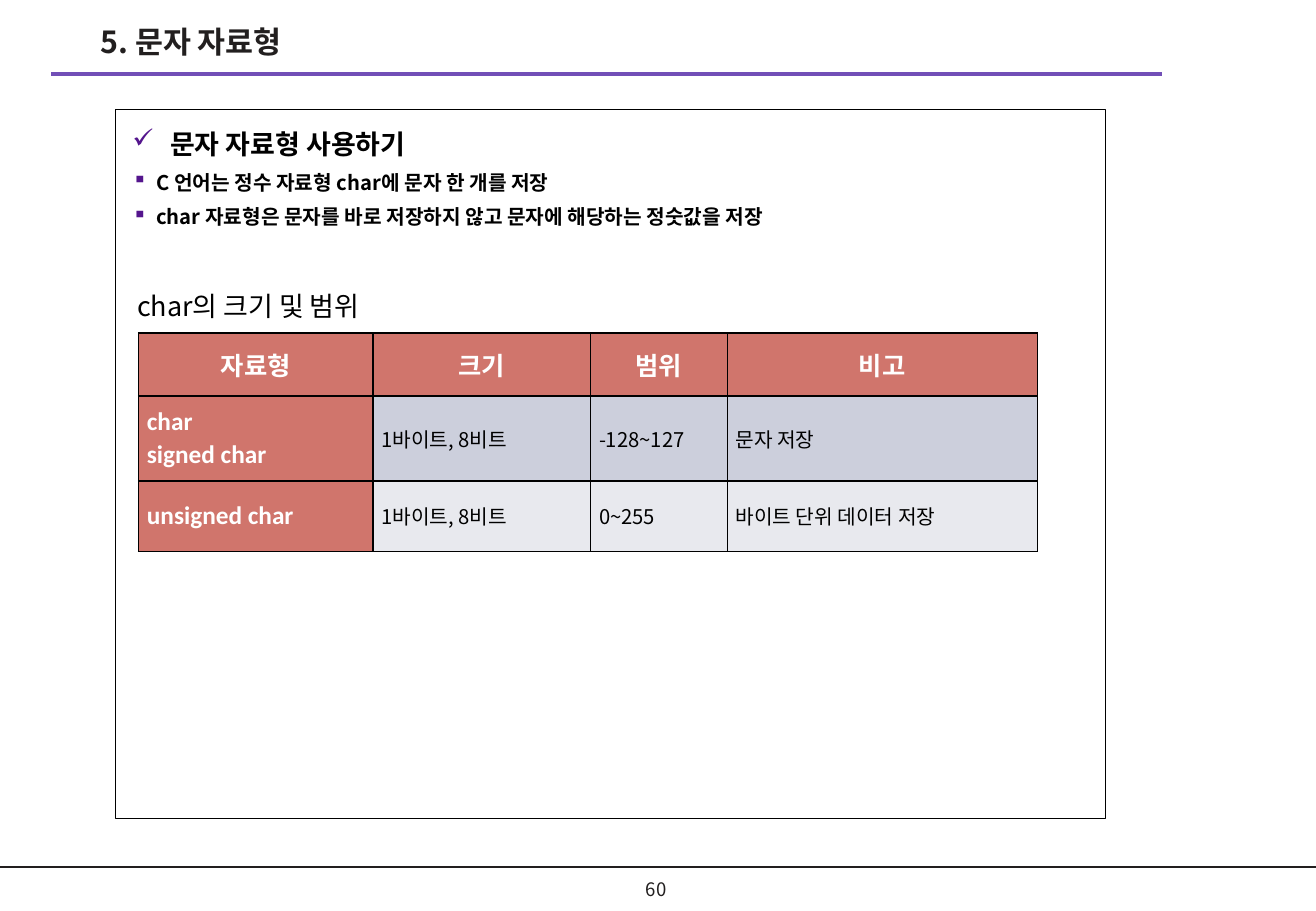
from dataclasses import dataclass

from pptx import Presentation
from pptx.dml.color import RGBColor
from pptx.enum.shapes import MSO_CONNECTOR, MSO_SHAPE
from pptx.enum.text import MSO_ANCHOR as Anchor, PP_ALIGN as Align
from pptx.oxml import parse_xml
from pptx.oxml.ns import nsdecls
from pptx.util import Pt


@dataclass(frozen=True)
class Theme:
    korean: str = "Noto Sans CJK KR"
    latin: str = "Calibri"
    ink: str = "221F1F"
    black: str = "000000"
    white: str = "FFFFFF"
    rule: str = "724FB7"
    bullet: str = "54158D"
    header: str = "D0756C"
    bands: tuple = ("CCCFDC", "E8E9EE")
    title: int = 18
    heading: int = 16
    label: int = 15
    body: int = 12
    page: int = 11


THEME = Theme()
COLUMNS = (139, 129, 81, 183.8)
ROWS = (37.4, 50.4, 41.8)
HEADINGS = ("자료형", "크기", "범위", "비고")
TYPES = (
    ("char\nsigned char", "1바이트, 8비트", "-128~127", "문자 저장"),
    ("unsigned char", "1바이트, 8비트", "0~255", "바이트 단위 데이터 저장"),
)


def apply(target, settings):
    for attribute, value in settings.items():
        setattr(target, attribute, value)


def style(paragraph, size, color, bold=False, face=THEME.korean):
    """Format the paragraph and its runs, with the face for Korean as well."""
    settings = {"size": Pt(size), "bold": bold, "name": face}
    for run in paragraph.runs:
        apply(run.font, settings)
        run.font.color.rgb = RGBColor.from_string(color)
        run.font._element.find("{*}latin").addnext(
            parse_xml(f'<a:ea {nsdecls("a")} typeface="{face}"/>'))


def add_label(slide, text, box, size, color, bold=False,
              align=Align.LEFT, anchor=Anchor.TOP):
    frame = slide.shapes.add_textbox(*map(Pt, box)).text_frame
    apply(frame, {"word_wrap": True, "vertical_anchor": anchor})
    paragraph = frame.paragraphs[0]
    apply(paragraph, {"text": text, "alignment": align})
    style(paragraph, size, color, bold)


def add_rule(slide, left, right, y, color, width):
    rule = slide.shapes.add_connector(
        MSO_CONNECTOR.STRAIGHT, Pt(left), Pt(y), Pt(right), Pt(y))
    rule.line.color.rgb = RGBColor.from_string(color)
    rule.line.width = Pt(width)
    rule._element.spPr.append(parse_xml(f'<a:effectLst {nsdecls("a")}/>'))


def add_bullet(paragraph, mark, indent):
    properties = paragraph._p.get_or_add_pPr()
    properties.set("marL", str(Pt(indent)))
    properties.set("indent", str(Pt(-indent)))
    for xml in (f'<a:buClr {nsdecls("a")}><a:srgbClr val="{THEME.bullet}"/></a:buClr>',
                f'<a:buChar {nsdecls("a")} char="{mark}"/>'):
        properties.append(parse_xml(xml))


def add_content_panel(slide, items):
    panel = slide.shapes.add_shape(
        MSO_SHAPE.RECTANGLE, *map(Pt, (68.4, 64.8, 586.8, 420.5)))
    panel.shadow.inherit = False
    panel.fill.background()
    panel.line.color.rgb = RGBColor.from_string(THEME.black)
    panel.line.width = Pt(0.75)
    frame = panel.text_frame
    apply(frame, {"word_wrap": True, "vertical_anchor": Anchor.TOP,
                  "margin_left": Pt(10), "margin_right": Pt(10),
                  "margin_top": Pt(5), "margin_bottom": Pt(5)})
    for index, (text, mark, indent, size) in enumerate(items):
        paragraph = frame.add_paragraph() if index else frame.paragraphs[0]
        apply(paragraph, {"text": text, "alignment": Align.LEFT, "line_spacing": 1.3,
                          "space_before": Pt(1.7 if index else 0)})
        add_bullet(paragraph, mark, indent)
        style(paragraph, size, THEME.black, bold=True)


def add_borders(cell):
    properties = cell._tc.get_or_add_tcPr()
    for side in "LRTB":
        properties.append(parse_xml(
            f'<a:ln{side} {nsdecls("a")} w="{Pt(1)}"><a:solidFill>'
            f'<a:srgbClr val="{THEME.black}"/></a:solidFill></a:ln{side}>'))


def fill_cell(cell, text, fill, align, **font):
    add_borders(cell)
    cell.fill.solid()
    cell.fill.fore_color.rgb = RGBColor.from_string(fill)
    apply(cell, {"text": text, "vertical_anchor": Anchor.MIDDLE,
                 "margin_left": Pt(5), "margin_right": Pt(5),
                 "margin_top": 0, "margin_bottom": 0})
    for paragraph in cell.text_frame.paragraphs:
        apply(paragraph, {"alignment": align, "space_after": Pt(1.2)})
        style(paragraph, **font)


def add_type_table(slide):
    table = slide.shapes.add_table(
        len(ROWS), len(COLUMNS), Pt(82.1), Pt(197.3),
        Pt(sum(COLUMNS)), Pt(sum(ROWS))).table
    for column, width in zip(table.columns, COLUMNS):
        column.width = Pt(width)
    for row, height in zip(table.rows, ROWS):
        row.height = Pt(height)
    strong = {"size": THEME.label, "color": THEME.white, "bold": True}
    plain = {"size": THEME.body, "color": THEME.black}
    for column, heading in enumerate(HEADINGS):
        fill_cell(table.cell(0, column), heading, THEME.header, Align.CENTER, **strong)
    for row, (values, band) in enumerate(zip(TYPES, THEME.bands), 1):
        fill_cell(table.cell(row, 0), values[0], THEME.header, Align.LEFT,
                  face=THEME.latin, **strong)
        for column, value in enumerate(values[1:], 1):
            fill_cell(table.cell(row, column), value, band, Align.JUSTIFY, **plain)


def main():
    deck = Presentation()
    apply(deck, {"slide_width": Pt(780), "slide_height": Pt(540)})
    slide = deck.slides.add_slide(deck.slide_layouts[6])
    add_rule(slide, 0, 780, 514, THEME.ink, 1)
    add_rule(slide, 30.4, 689, 43.8, THEME.rule, 2.25)
    add_label(slide, "60", (367, 515, 44, 24), THEME.page, THEME.ink,
              align=Align.CENTER, anchor=Anchor.MIDDLE)
    add_label(slide, "5. 문자 자료형", (52.5, 10, 400, 34.5),
              THEME.title, THEME.ink, bold=True)
    add_content_panel(slide, (
        ("문자 자료형 사용하기", "✓", 22.5, THEME.heading),
        ("C 언어는 정수 자료형 char에 문자 한 개를 저장", "▪", 14.2, THEME.body),
        ("char 자료형은 문자를 바로 저장하지 않고 문자에 해당하는 정숫값을 저장",
         "▪", 14.2, THEME.body),
    ))
    add_label(slide, "char의 크기 및 범위", (74.2, 167.8, 598, 32),
              THEME.heading, THEME.black)
    add_type_table(slide)
    deck.save("out.pptx")


if __name__ == "__main__":
    main()
